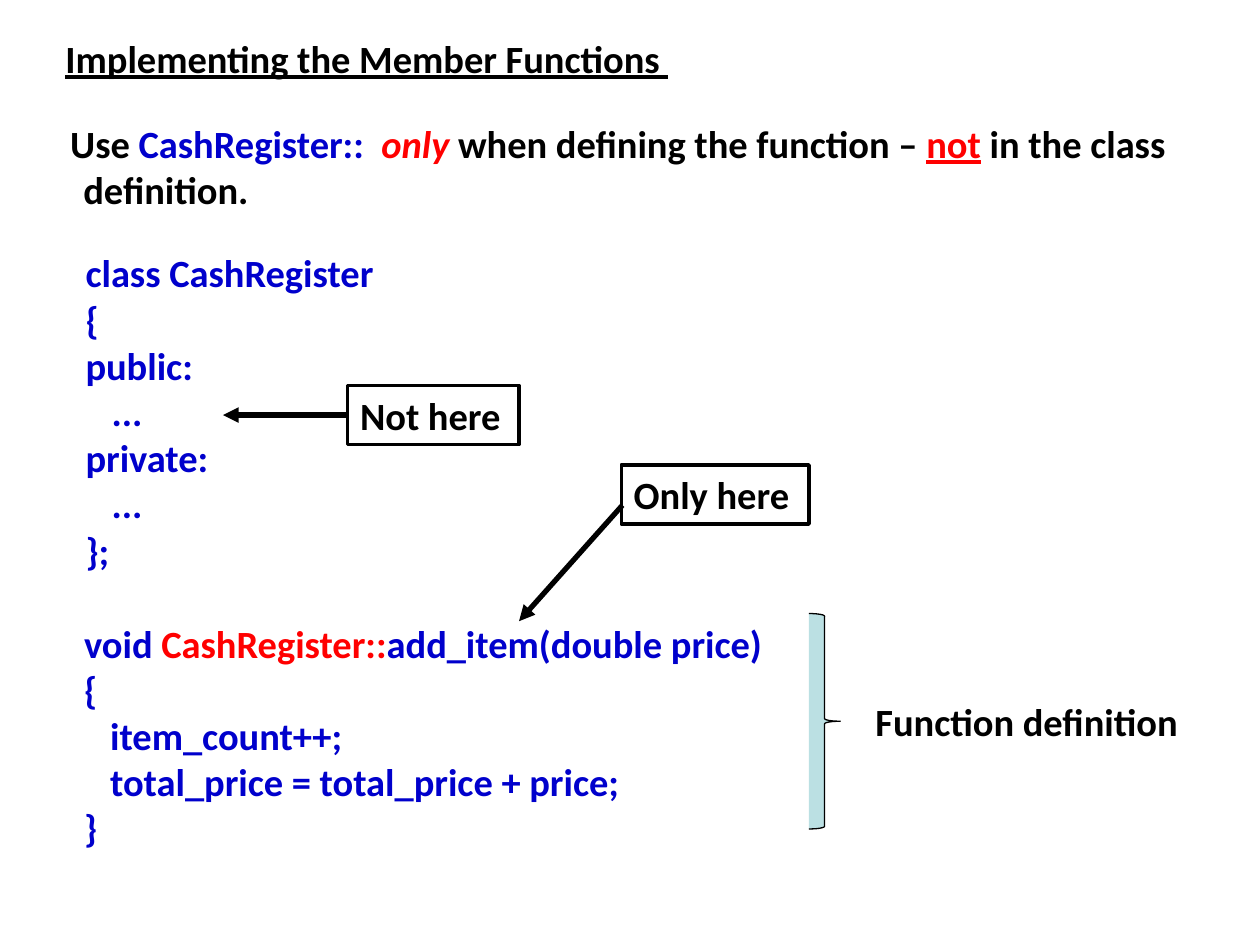
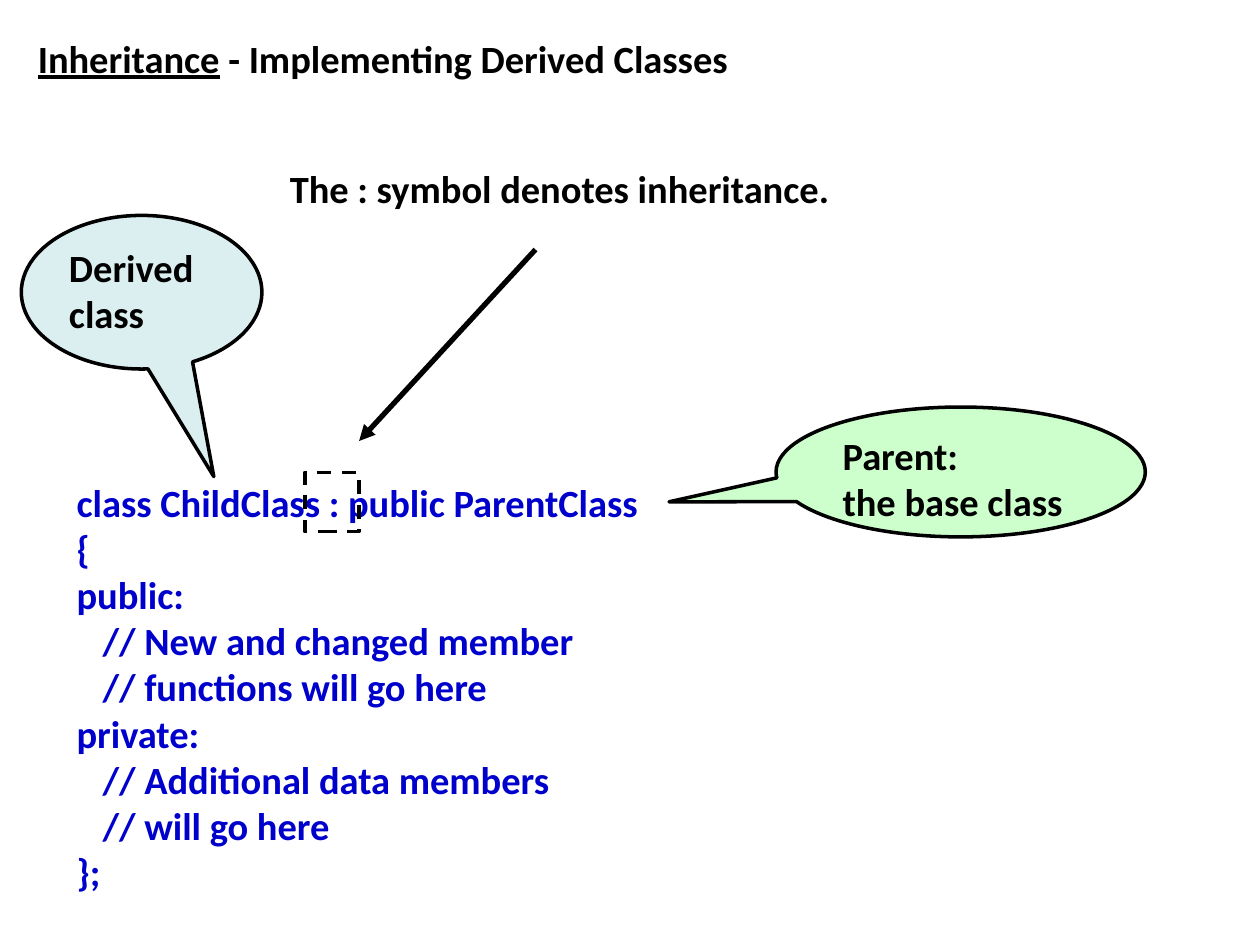
from dataclasses import dataclass
from typing import NamedTuple, Sequence

from lxml.etree import SubElement
from pptx import Presentation
from pptx.dml.color import RGBColor
from pptx.enum.dml import MSO_LINE
from pptx.enum.shapes import MSO_CONNECTOR, MSO_SHAPE
from pptx.enum.text import MSO_ANCHOR, MSO_AUTO_SIZE, PP_ALIGN
from pptx.oxml.ns import qn
from pptx.util import Pt


@dataclass(frozen=True)
class Theme:
    ink: RGBColor = RGBColor(0x00, 0x00, 0x00)
    code: RGBColor = RGBColor(0x00, 0x00, 0xCC)
    accent: RGBColor = RGBColor(0xFF, 0x00, 0x00)
    teal: RGBColor = RGBColor(0xBB, 0xE0, 0xE3)
    green: RGBColor = RGBColor(0xCC, 0xFF, 0xCC)
    font: str = "Calibri"
    text_size: float = 22
    thin_line: float = 0.75
    box_line: float = 2
    arrow_line: float = 3
    title_top: float = 12.2
    title_height: float = 41.8
    body_height: float = 433.4
    label_height: float = 33.8


THEME = Theme()


class Box(NamedTuple):
    left: float
    top: float
    width: float
    height: float

    def lengths(self) -> list:
        return [Pt(value) for value in self]


class Span(NamedTuple):
    text: str
    color: RGBColor = THEME.ink
    underline: bool = False
    italic: bool = False


class Callout(NamedTuple):
    text: str
    box: Box
    pointer: tuple
    fill: RGBColor
    opacity: int = 100


def style_run(run, span: Span) -> None:
    font = run.font
    font.name = THEME.font
    font.size = Pt(THEME.text_size)
    font.bold = True
    font.italic = span.italic
    font.underline = span.underline
    font.color.rgb = span.color


def write_spans(paragraph, spans: Sequence[Span]) -> None:
    paragraph.text = ""
    paragraph.alignment = PP_ALIGN.LEFT
    for span in spans:
        run = paragraph.add_run()
        run.text = span.text
        style_run(run, span)


def write_text(text_frame, text: str, color: RGBColor = THEME.ink) -> None:
    text_frame.text = text
    text_frame.word_wrap = True
    text_frame.vertical_anchor = MSO_ANCHOR.TOP
    for paragraph in text_frame.paragraphs:
        paragraph.alignment = PP_ALIGN.LEFT
        for run in paragraph.runs:
            style_run(run, Span(run.text, color))


def place(shape, box: Box) -> None:
    shape.left, shape.top, shape.width, shape.height = box.lengths()


def add_title_slide(presentation, left: float, width: float, spans: Sequence[Span]):
    slide = presentation.slides.add_slide(presentation.slide_layouts[1])
    title = slide.shapes.title
    place(title, Box(left, THEME.title_top, width, THEME.title_height))
    title.text_frame.auto_size = MSO_AUTO_SIZE.NONE
    title.text_frame.vertical_anchor = MSO_ANCHOR.MIDDLE
    write_spans(title.text_frame.paragraphs[0], spans)
    return slide


def fill_body(slide, box: Box, spans: Sequence[Span], margin: float,
              indent: float = 0, top_inset: float = 3.6) -> None:
    body = slide.placeholders[1]
    place(body, box)
    text_frame = body.text_frame
    text_frame.auto_size = MSO_AUTO_SIZE.NONE
    text_frame.margin_top = Pt(top_inset)
    paragraph = text_frame.paragraphs[0]
    write_spans(paragraph, spans)
    paragraph.space_before = Pt(0)
    properties = paragraph._p.get_or_add_pPr()
    properties.set("marL", str(Pt(margin)))
    properties.set("indent", str(Pt(indent)))
    SubElement(properties, qn("a:buNone"))


def add_text(slide, box: Box, text: str, color: RGBColor = THEME.ink):
    shape = slide.shapes.add_textbox(*box.lengths())
    write_text(shape.text_frame, text, color)
    shape.text_frame.auto_size = MSO_AUTO_SIZE.SHAPE_TO_FIT_TEXT
    return shape


def add_outline(slide, kind: MSO_SHAPE, box: Box, line_width: float):
    shape = slide.shapes.add_shape(kind, *box.lengths())
    shape.shadow.inherit = False
    shape.fill.background()
    shape.line.color.rgb = THEME.ink
    shape.line.width = Pt(line_width)
    return shape


def add_label(slide, box: Box, text: str):
    label = add_outline(slide, MSO_SHAPE.RECTANGLE, box, THEME.box_line)
    write_text(label.text_frame, text)
    label.text_frame.auto_size = MSO_AUTO_SIZE.SHAPE_TO_FIT_TEXT
    return label


def add_arrow(slide, start: tuple, end: tuple):
    arrow = slide.shapes.add_connector(
        MSO_CONNECTOR.STRAIGHT, *[Pt(value) for value in (*start, *end)])
    arrow.line.color.rgb = THEME.ink
    arrow.line.width = Pt(THEME.arrow_line)
    properties = arrow._element.spPr
    SubElement(properties.find(qn("a:ln")), qn("a:tailEnd"), type="triangle")
    SubElement(properties, qn("a:effectLst"))
    return arrow


def add_callout(slide, callout: Callout) -> None:
    shape = add_outline(slide, MSO_SHAPE.OVAL_CALLOUT, callout.box, THEME.box_line)
    shape.adjustments[0], shape.adjustments[1] = callout.pointer
    shape.fill.solid()
    shape.fill.fore_color.rgb = callout.fill
    if callout.opacity < 100:
        color = shape._element.spPr.find(qn("a:solidFill"))[0]
        SubElement(color, qn("a:alpha"), val=str(callout.opacity * 1000))
    write_text(shape.text_frame, callout.text)


def build_member_functions(presentation) -> None:
    slide = add_title_slide(presentation, 30.2, 360, [
        Span("Implementing the Member Functions ", underline=True)])
    fill_body(slide, Box(13, 64.8, 689, THEME.body_height), [
        Span("Use "),
        Span("CashRegister::  ", THEME.code),
        Span("only", THEME.accent, italic=True),
        Span(" when defining the function – "),
        Span("not", THEME.accent, underline=True),
        Span(" in the class definition."),
    ], margin=27.4, indent=-7.5)
    add_text(slide, Box(41.8, 139, 520.6, 192.2), """class CashRegister
{
public:
   ...
private:
   ...
};""", THEME.code)
    function_code = add_text(slide, Box(41, 350.6, 661, 139.7), """void
{
   item_count++;
   total_price = total_price + price;
}""", THEME.code)
    write_spans(function_code.text_frame.paragraphs[0], [
        Span("void ", THEME.code),
        Span("CashRegister::", THEME.accent),
        Span("add_item(double price)", THEME.code)])

    not_here_box = Box(198.7, 220.3, 97.9, THEME.label_height)
    not_here = add_label(slide, not_here_box, "Not here")
    add_label(slide, Box(355, 265.7, 107.3, THEME.label_height), "Only here")
    middle = not_here_box.top + not_here_box.height / 2
    arrow = add_arrow(slide, (not_here_box.left, middle), (127.4, middle))
    arrow.begin_connect(not_here, 1)
    add_arrow(slide, (355.7, 288.7), (296.6, 355))

    brace = add_outline(slide, MSO_SHAPE.RIGHT_BRACE,
                        Box(462.2, 350.6, 18, 123.1), THEME.thin_line)
    brace.fill.solid()
    brace.fill.fore_color.rgb = THEME.teal
    definition = add_text(slide, Box(493.2, 395.3, 187.2, THEME.label_height),
                          "Function definition")
    definition.text_frame.word_wrap = False


def build_inheritance(presentation) -> None:
    slide = add_title_slide(presentation, 14.4, 657.4, [
        Span("Inheritance", underline=True),
        Span(" - Implementing Derived Classes")])
    fill_body(slide, Box(14.4, 59, 684, THEME.body_height),
              [Span("The : symbol denotes inheritance.")], margin=144, top_inset=35.5)
    add_text(slide, Box(36.7, 270, 643, 244.8), """class ChildClass : public ParentClass
{
public:
   // New and changed member
   // functions will go here
private:
   // Additional data members
   // will go here
};""", THEME.code)
    add_arrow(slide, (306, 142.6), (205.2, 252))
    colon_frame = add_outline(slide, MSO_SHAPE.RECTANGLE,
                              Box(174.2, 270, 31, THEME.label_height), THEME.box_line)
    colon_frame.line.dash_style = MSO_LINE.DASH
    for callout in (
        Callout("Derived class", Box(12.2, 123.1, 137.5, 87.8), (0.3, 1.2), THEME.teal, 50),
        Callout("Parent:\nthe base class", Box(443.5, 232.6, 211, 74.2),
                (-0.79, 0.23), THEME.green),
    ):
        add_callout(slide, callout)


def main() -> None:
    presentation = Presentation()
    presentation.slide_width = Pt(720)
    presentation.slide_height = Pt(540)
    build_member_functions(presentation)
    build_inheritance(presentation)
    presentation.save("out.pptx")


if __name__ == "__main__":
    main()
